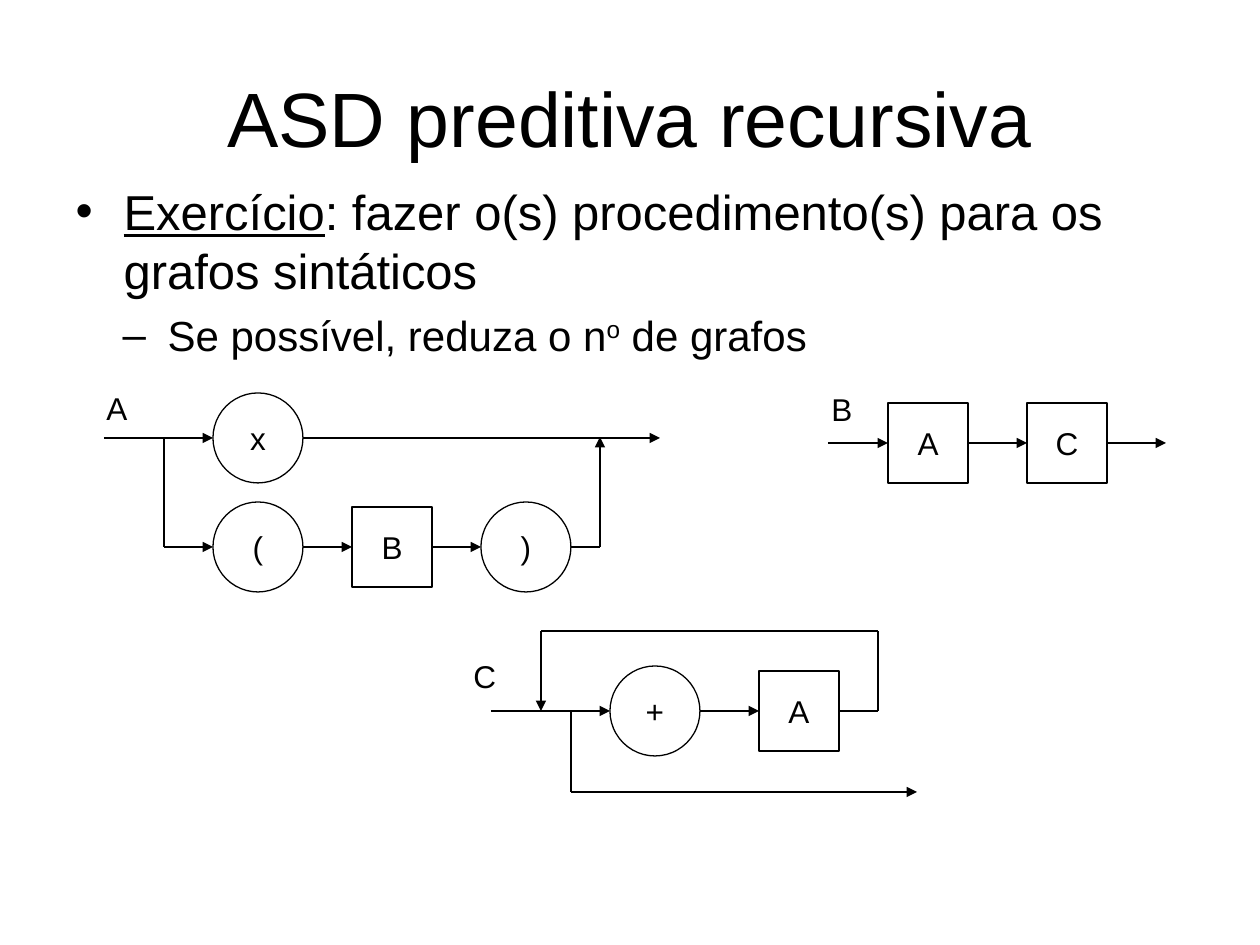
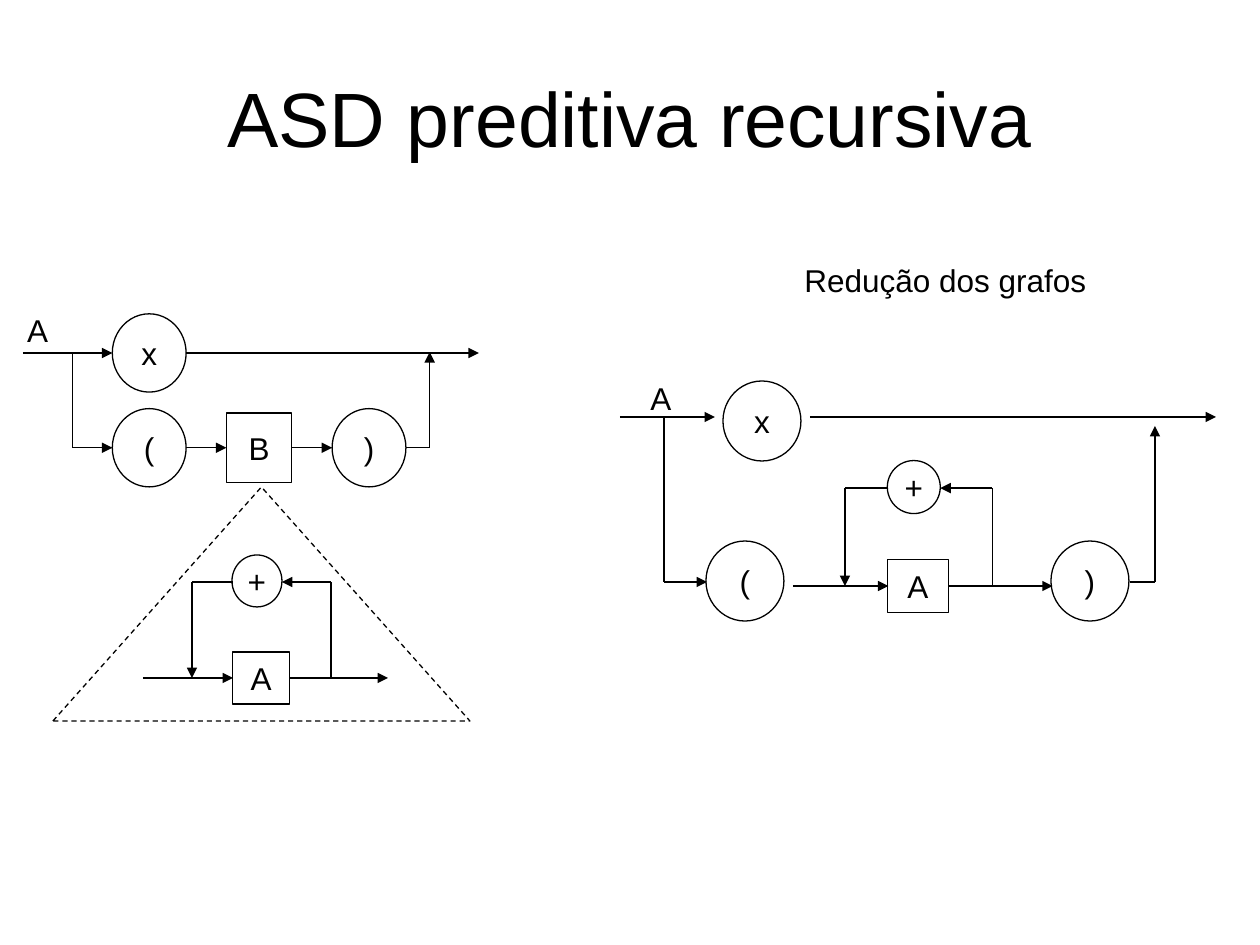
from dataclasses import dataclass

from lxml import etree
from pptx import Presentation
from pptx.dml.color import RGBColor
from pptx.enum.dml import MSO_LINE
from pptx.enum.shapes import MSO_CONNECTOR, MSO_SHAPE
from pptx.enum.text import MSO_ANCHOR, MSO_AUTO_SIZE, PP_ALIGN
from pptx.oxml.ns import qn
from pptx.util import Emu, Pt

CIRCLE, BOX, TRIANGLE = MSO_SHAPE.OVAL, MSO_SHAPE.RECTANGLE, MSO_SHAPE.FLOWCHART_EXTRACT
STRAIGHT, DASH = MSO_CONNECTOR.STRAIGHT, MSO_LINE.DASH
MIDDLE, TOP = MSO_ANCHOR.MIDDLE, MSO_ANCHOR.TOP
CENTER, LEFT = PP_ALIGN.CENTER, PP_ALIGN.LEFT
NO_FIT, GROW = MSO_AUTO_SIZE.NONE, MSO_AUTO_SIZE.SHAPE_TO_FIT_TEXT

PX_PER_INCH = 126
LAYOUT_BODY, LAYOUT_TITLE = 1, 5


@dataclass(frozen=True)
class Theme:
    ink: RGBColor = RGBColor(0, 0, 0)
    font: str = "Arial"
    title: int = 44
    body: int = 28
    sub: int = 24
    label: int = 18
    line: float = 0.75


THEME = Theme()

TITLE = "ASD preditiva recursiva"
TITLE_AT = (63, 38, 1134, 158)
BODY_AT = (63, 175, 1134, 625)
# level, left margin, hanging indent, space before, size, runs
BODY = [
    (0, 48, -48, 0, THEME.body, [
        ("Exercício", {"underline": True}),
        (": fazer o(s) procedimento(s) para os grafos sintáticos", {})]),
    (1, 92, -45, 6, THEME.sub, [
        ("Se possível, reduza o n", {}), ("o", {"raised": 30}), (" de grafos", {})]),
]
CAPTION = "Redução dos grafos"
CAPTION_AT = (729, 255, 370, 50)
EXPANSION_AT = (53, 487, 417, 234)

# Coordinates start at the entry of each graph.
# label: text, left, top; nodes: kind, text, centre x, centre y, width, height
# arrows: corner points, with the head at the last one
GRAPH_A = {
    "label": ("A", -10, -55),
    "nodes": [(CIRCLE, "x", 154, 0, 90, 90), (CIRCLE, "(", 154, 109, 90, 90),
              (BOX, "B", 288, 109, 80, 80), (CIRCLE, ")", 422, 109, 90, 90)],
    "arrows": [[(0, 0), (109, 0)], [(199, 0), (556, 0)],
               [(60, 0), (60, 109), (109, 109)],
               [(199, 109), (248, 109)], [(328, 109), (377, 109)],
               [(467, 109), (496, 109), (496, -1)]],
}
GRAPH_B = {
    "label": ("B", -9, -59),
    "nodes": [(BOX, "A", 100, 0, 80, 80), (BOX, "C", 239, 0, 80, 80)],
    "arrows": [[(0, 0), (60, 0)], [(140, 0), (199, 0)], [(279, 0), (338, 0)]],
}
GRAPH_C = {
    "label": ("C", -30, -60),
    "nodes": [(CIRCLE, "+", 164, 0, 90, 90), (BOX, "A", 308, 0, 80, 80)],
    "arrows": [[(0, 0), (119, 0)], [(209, 0), (268, 0)],
               [(348, 0), (387, 0), (387, -80), (50, -80), (50, 0)],
               [(80, 0), (80, 81), (426, 81)]],
}
LOOP = {
    "nodes": [(CIRCLE, "+", 114, -97, 50, 52), (BOX, "A", 118, 0, 57, 52)],
    "arrows": [[(0, 0), (90, 0)], [(147, 0), (245, 0)],
               [(188, 0), (188, -96), (139, -96)],
               [(90, -96), (49, -96), (49, 0)]],
}
REDUCED_A = {
    "label": ("A", 18, -44),
    "nodes": [(CIRCLE, "x", 142, 4, 78, 80), (CIRCLE, "(", 125, 164, 78, 80),
              (CIRCLE, ")", 470, 164, 78, 80)],
    "arrows": [[(0, 0), (95, 0)], [(190, 0), (596, 0)],
               [(44, 0), (44, 165), (87, 165)],
               [(510, 165), (535, 165), (535, 9)]],
}

# graph, entry x, entry y, horizontal scale, vertical scale
EXERCISE = [(GRAPH_A, 104, 438, 1, 1), (GRAPH_B, 828, 443, 1, 1), (GRAPH_C, 491, 711, 1, 1)]
REDUCTION = [(GRAPH_A, 23, 353, 0.82, 0.87), (LOOP, 143, 678, 1, 1),
             (REDUCED_A, 620, 417, 1, 1), (LOOP, 793, 586, 1.06, 1.02)]


def px(*values):
    return [Emu(round(v * 914400 / PX_PER_INCH)) for v in values]


def add_text(p, text, size=THEME.label, underline=None, raised=0):
    r = p.add_run()
    r.text = text
    f = r.font
    f.name, f.size, f.underline = THEME.font, Pt(size), underline
    f.color.rgb = THEME.ink
    if raised:
        r._r.get_or_add_rPr().set("baseline", str(raised * 1000))


def indent(p, margin, hanging=0):
    pPr = p._p.get_or_add_pPr()
    for name, value in zip(("marL", "indent"), px(margin, hanging)):
        pPr.set(name, str(value))


def set_frame(tf, anchor=TOP, fit=NO_FIT, wrap=False):
    tf.vertical_anchor, tf.auto_size, tf.word_wrap = anchor, fit, wrap
    return tf.paragraphs[0]


def move(sp, box):
    sp.left, sp.top, sp.width, sp.height = px(*box)


def ink_line(line):
    line.color.rgb, line.width = THEME.ink, Pt(THEME.line)


def add_outline(slide, kind, box):
    sp = slide.shapes.add_shape(kind, *px(*box))
    sp.shadow.inherit = False
    sp.fill.background()
    ink_line(sp.line)
    return sp


def add_label(slide, text, box):
    sp = slide.shapes.add_textbox(*px(*box))
    p = set_frame(sp.text_frame, fit=GROW)
    p.alignment = LEFT
    add_text(p, text)
    return p


def add_arrow(slide, points):
    """Join the points by straight lines and put a head on the last one."""
    for start, end in zip(points, points[1:]):
        line = slide.shapes.add_connector(STRAIGHT, *px(*start, *end))
        ink_line(line.line)
        if end == points[-1]:
            etree.SubElement(line.line._get_or_add_ln(), qn("a:tailEnd"), type="triangle")
        etree.SubElement(line._element.spPr, qn("a:effectLst"))


def add_graph(slide, graph, left, top, sx, sy):
    def at(x, y):
        return left + x * sx, top + y * sy

    for points in graph["arrows"]:
        add_arrow(slide, [at(*point) for point in points])
    for kind, text, cx, cy, w, h in graph["nodes"]:
        box = (*at(cx - w / 2, cy - h / 2), w * sx, h * sy)
        p = set_frame(add_outline(slide, kind, box).text_frame, anchor=MIDDLE)
        p.alignment = CENTER
        add_text(p, text)
    if "label" in graph:
        text, x, y = graph["label"]
        add_label(slide, text, (*at(x, y), 45, 50))


def add_slide(prs, layout, graphs):
    slide = prs.slides.add_slide(prs.slide_layouts[layout])
    title = slide.shapes.title
    move(title, TITLE_AT)
    p = set_frame(title.text_frame, anchor=MIDDLE, wrap=True)
    p.alignment = CENTER
    add_text(p, TITLE, size=THEME.title)
    for graph in graphs:
        add_graph(slide, *graph)
    return slide


def fill_body(body):
    move(body, BODY_AT)
    p = set_frame(body.text_frame, wrap=True)
    for i, (level, margin, hanging, before, size, runs) in enumerate(BODY):
        if i:
            p = body.text_frame.add_paragraph()
        p.level, p.space_before = level, Pt(before)
        indent(p, margin, hanging)
        for text, look in runs:
            add_text(p, text, size=size, **look)


def main():
    prs = Presentation()
    prs.slide_width, prs.slide_height = px(1260, 945)

    exercise = add_slide(prs, LAYOUT_BODY, EXERCISE)
    fill_body(exercise.placeholders[1])

    reduction = add_slide(prs, LAYOUT_TITLE, REDUCTION)
    caption = add_label(reduction, CAPTION, CAPTION_AT)
    caption.level = 1
    indent(caption, 63)
    add_outline(reduction, TRIANGLE, EXPANSION_AT).line.dash_style = DASH

    prs.save("out.pptx")


if __name__ == "__main__":
    main()
